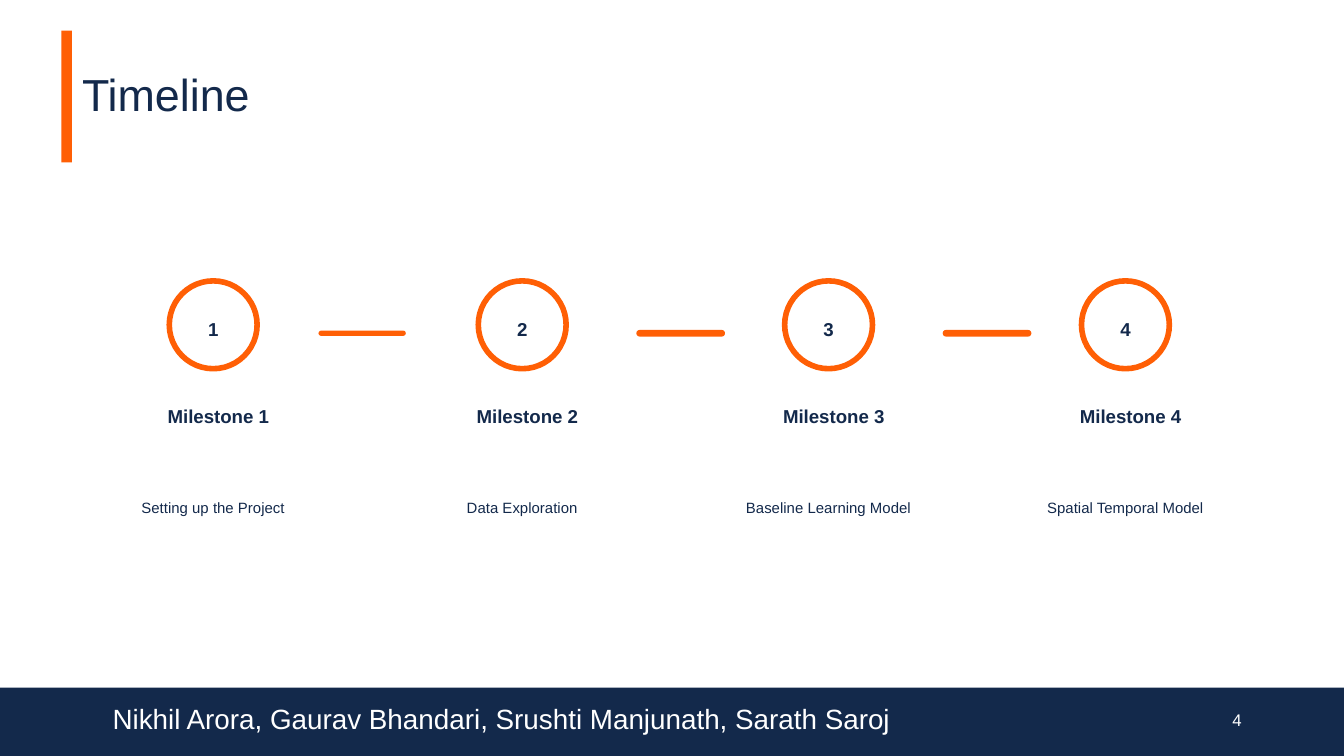
from pptx import Presentation
from pptx.dml.color import RGBColor
from pptx.enum.shapes import MSO_SHAPE
from pptx.enum.text import MSO_ANCHOR, MSO_AUTO_SIZE, PP_ALIGN
from pptx.util import Cm, Pt

RECTANGLE, ROUNDED, OVAL = MSO_SHAPE.RECTANGLE, MSO_SHAPE.ROUNDED_RECTANGLE, MSO_SHAPE.OVAL
MIDDLE = MSO_ANCHOR.MIDDLE
NO_FIT = MSO_AUTO_SIZE.NONE
LEFT, CENTER, RIGHT = PP_ALIGN.LEFT, PP_ALIGN.CENTER, PP_ALIGN.RIGHT

ORANGE, NAVY, WHITE = "FF5F05", "13294B", "FFFFFF"
WIDTH, HEIGHT = 25.4, 14.29
FOOTER_TOP = 13
DASH_TOP = 6.25

# Centre of each circle, and its description
MILESTONES = [
    (4.03, "Setting up the Project"),
    (9.87, "Data Exploration"),
    (15.66, "Baseline Learning Model"),
    (21.27, "Spatial Temporal Model"),
]
# Left edge and outline width of each dash
DASHES = [(6.02, 0), (12.04, 0.75), (17.83, 0.75)]


def color(value):
    return RGBColor.from_string(value)


class TimelineSlide:
    """Holds the style and the slide that is being built."""

    font = "Arial"

    def __init__(self, deck):
        self.slide = deck.slides.add_slide(deck.slide_layouts[1])
        self.shapes = self.slide.shapes

    def shape(self, kind, left, top, width, height, fill=None, line=0, parent=None):
        shape = (parent or self.shapes).add_shape(
            kind, Cm(left), Cm(top), Cm(width), Cm(height))
        shape.shadow.inherit = False
        if fill:
            shape.fill.solid()
            shape.fill.fore_color.rgb = color(fill)
        else:
            shape.fill.background()
        if line:
            shape.line.color.rgb = color(ORANGE)
            shape.line.width = Pt(line)
        else:
            shape.line.fill.background()
        return shape

    def fill_text(self, box, text, size, ink=NAVY, bold=False, align=LEFT,
                  spacing=1.0, inset=(0.18, 0.1), indent=0):
        frame = box.text_frame
        frame.word_wrap = True
        frame.auto_size = NO_FIT
        frame.vertical_anchor = MIDDLE
        side, end = inset
        frame.margin_left, frame.margin_right = Cm(side + indent), Cm(side)
        frame.margin_top = frame.margin_bottom = Cm(end)
        frame.text = text
        para = frame.paragraphs[0]
        para.alignment = align
        para.line_spacing = spacing
        para.space_before = Pt(0)
        para.font.name = self.font
        para.font.size = Pt(size)
        para.font.bold = bold
        para.font.color.rgb = color(ink)
        return para

    def text(self, text, left, top, width, height, size, parent=None, **style):
        box = (parent or self.shapes).add_textbox(
            Cm(left), Cm(top), Cm(width), Cm(height))
        self.fill_text(box, text, size, **style)

    def placeholder(self, index, text, left, top, width, height, size, **style):
        box = self.slide.placeholders[index]
        box.left, box.top, box.width, box.height = map(Cm, (left, top, width, height))
        return self.fill_text(box, text, size, spacing=0.9, **style)

    def milestone(self, number, center, description):
        group = self.shapes.add_group_shape().shapes
        inset = (0.25, 0.25)
        self.shape(OVAL, center - 0.83, 5.31, 1.66, 1.66, line=3, parent=group)
        self.text(str(number), center - 0.6, 5.74, 1.2, 0.89, 10, group,
                  bold=True, align=CENTER, spacing=1.15, inset=inset)
        self.text(f"Milestone {number}", center - 2.38, 7.27, 4.76, 1.24, 10, group,
                  bold=True, spacing=0.9, inset=inset, indent=1.27)
        self.text(description, center - 2.38, 8.53, 4.76, 2.06, 8, group,
                  align=CENTER, spacing=1.15, inset=inset)

    def dash(self, left, line):
        dash = self.shape(ROUNDED, left, DASH_TOP, 1.65, 0.1, ORANGE, line)
        dash.adjustments[0] = 0.5


def main():
    deck = Presentation()
    deck.slide_width, deck.slide_height = Cm(WIDTH), Cm(HEIGHT)
    page = TimelineSlide(deck)

    footer = page.shape(RECTANGLE, 0, FOOTER_TOP, WIDTH, HEIGHT - FOOTER_TOP, NAVY)
    # The footer band goes behind the placeholders
    footer.element.getparent().insert(2, footer.element)
    page.shape(RECTANGLE, 1.16, 0.58, 0.2, 2.49, ORANGE)

    page.placeholder(0, "Timeline", 1.37, 0.58, 21.62, 2.49, 24)
    authors = page.placeholder(
        1, "Nikhil Arora, Gaurav Bhandari, Srushti Manjunath, Sarath Saroj",
        0.97, 13.23, 16.99, 0.76, 14.9, ink=WHITE, align=CENTER)
    properties = authors._p.get_or_add_pPr()
    properties.set("marL", "0")
    properties.set("indent", "0")
    bullet = properties.makeelement(
        "{http://schemas.openxmlformats.org/drawingml/2006/main}buNone", {})
    properties.insert_element_before(bullet, "a:tabLst", "a:defRPr", "a:extLst")
    page.text("4", 17.93, 13.23, 5.72, 0.76, 9, ink=WHITE, align=RIGHT)

    for number, (center, description) in enumerate(MILESTONES, start=1):
        page.milestone(number, center, description)
    for left, line in DASHES:
        page.dash(left, line)

    deck.save("out.pptx")


if __name__ == "__main__":
    main()
